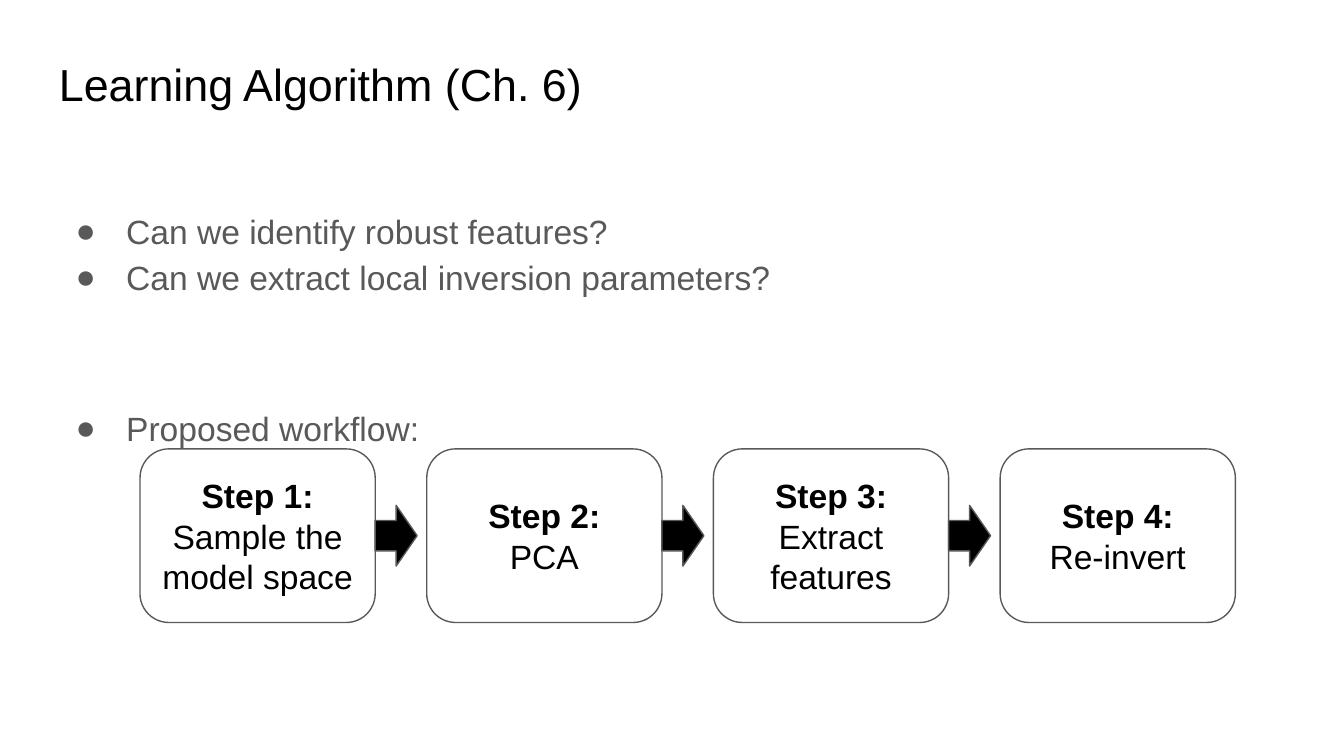
"""Build the Learning Algorithm slide with its four-step workflow."""
from dataclasses import dataclass

from lxml.etree import SubElement
from pptx import Presentation
from pptx.dml.color import RGBColor
from pptx.enum.shapes import MSO_SHAPE as Kind
from pptx.enum.text import MSO_ANCHOR as Anchor, PP_ALIGN as Align
from pptx.oxml.ns import qn
from pptx.util import Pt

HUES = {"ink": "000000", "grey": "595959", "paper": "FFFFFF"}
FACE = "Arial"
LEFT, TOP, WIDTH, HIGH = 75, 240.5, 126, 93
PITCH = 153.6
INSET = 7.2


@dataclass
class Step:
    head: str
    task: str


@dataclass
class Point:
    text: str
    space: float = 0


STEPS = [
    Step("Step 1:", "Sample the model space"),
    Step("Step 2:", "PCA"),
    Step("Step 3:", "Extract features"),
    Step("Step 4:", "Re-invert"),
]
POINTS = [
    Point("Can we identify robust features?"),
    Point("Can we extract local inversion parameters?"),
    Point("Proposed workflow:", 56),
]


def hue(name: str) -> RGBColor:
    """Return a named colour."""
    return RGBColor.from_string(HUES[name])


def style(para, size: float, name: str, bold: bool = False) -> None:
    """Set the font of a paragraph."""
    font = para.font
    font.name, font.size, font.bold = FACE, Pt(size), bold
    font.color.rgb = hue(name)


def setup(frame, top: float = INSET) -> None:
    """Set wrapping and insets of a text frame."""
    frame.word_wrap = True
    frame.margin_left = frame.margin_right = frame.margin_bottom = Pt(INSET)
    frame.margin_top = Pt(top)


def line(frame, index: int, text: str):
    """Return the paragraph at an index, filled with text."""
    para = frame.add_paragraph() if index else frame.paragraphs[0]
    para.text = text
    return para


def bullet(para) -> None:
    """Give a paragraph a hanging round bullet."""
    props = para._p.get_or_add_pPr()
    props.set("marL", str(Pt(36)))
    props.set("indent", str(Pt(-27)))
    tint = SubElement(props, qn("a:buClr"))
    SubElement(tint, qn("a:srgbClr"), val=HUES["grey"])
    SubElement(props, qn("a:buFont"), typeface=FACE)
    SubElement(props, qn("a:buChar"), char="●")


def add_title(slide, text: str) -> None:
    """Add the slide title."""
    box = slide.shapes.add_textbox(Pt(24.5), Pt(23), Pt(671), Pt(45))
    setup(box.text_frame)
    style(line(box.text_frame, 0, text), 24, "ink")


def add_points(slide, points: list[Point]) -> None:
    """Add the bulleted text."""
    box = slide.shapes.add_textbox(Pt(24.5), Pt(62.6), Pt(671), Pt(245.5))
    frame = box.text_frame
    setup(frame, 47)
    for index, point in enumerate(points):
        para = line(frame, index, point.text)
        bullet(para)
        para.line_spacing = 1.15
        if point.space:
            para.space_before = Pt(point.space)
        style(para, 18, "grey")


def add_shape(slide, kind: Kind, area: tuple[float, ...], fill: str):
    """Add an outlined shape without shadow."""
    shape = slide.shapes.add_shape(kind, *map(Pt, area))
    shape.shadow.inherit = False
    shape.fill.solid()
    shape.fill.fore_color.rgb = hue(fill)
    shape.line.color.rgb = hue("grey")
    shape.line.width = Pt(0.75)
    return shape


def add_step(slide, step: Step, left: float) -> None:
    """Add one rounded workflow box."""
    area = (left, TOP, WIDTH, HIGH)
    frame = add_shape(slide, Kind.ROUNDED_RECTANGLE, area, "paper").text_frame
    setup(frame)
    frame.vertical_anchor = Anchor.MIDDLE
    for index, text in enumerate((step.head, step.task)):
        para = line(frame, index, text)
        para.alignment = Align.CENTER
        style(para, 18, "ink", index == 0)


def add_arrow(slide, left: float) -> None:
    """Add one block arrow, centred on the boxes."""
    high = 32.5
    area = (left, TOP + (HIGH - high) / 2, 22.5, high)
    add_shape(slide, Kind.RIGHT_ARROW, area, "ink")


def main() -> None:
    """Build and save the slide."""
    deck = Presentation()
    deck.slide_width, deck.slide_height = Pt(720), Pt(405)
    slide = deck.slides.add_slide(deck.slide_layouts[6])
    add_points(slide, POINTS)
    add_title(slide, "Learning Algorithm (Ch. 6)")
    for index, step in enumerate(STEPS):
        left = LEFT + index * PITCH
        add_step(slide, step, left)
        if index < len(STEPS) - 1:
            add_arrow(slide, left + WIDTH)
    deck.save("out.pptx")


if __name__ == "__main__":
    main()
